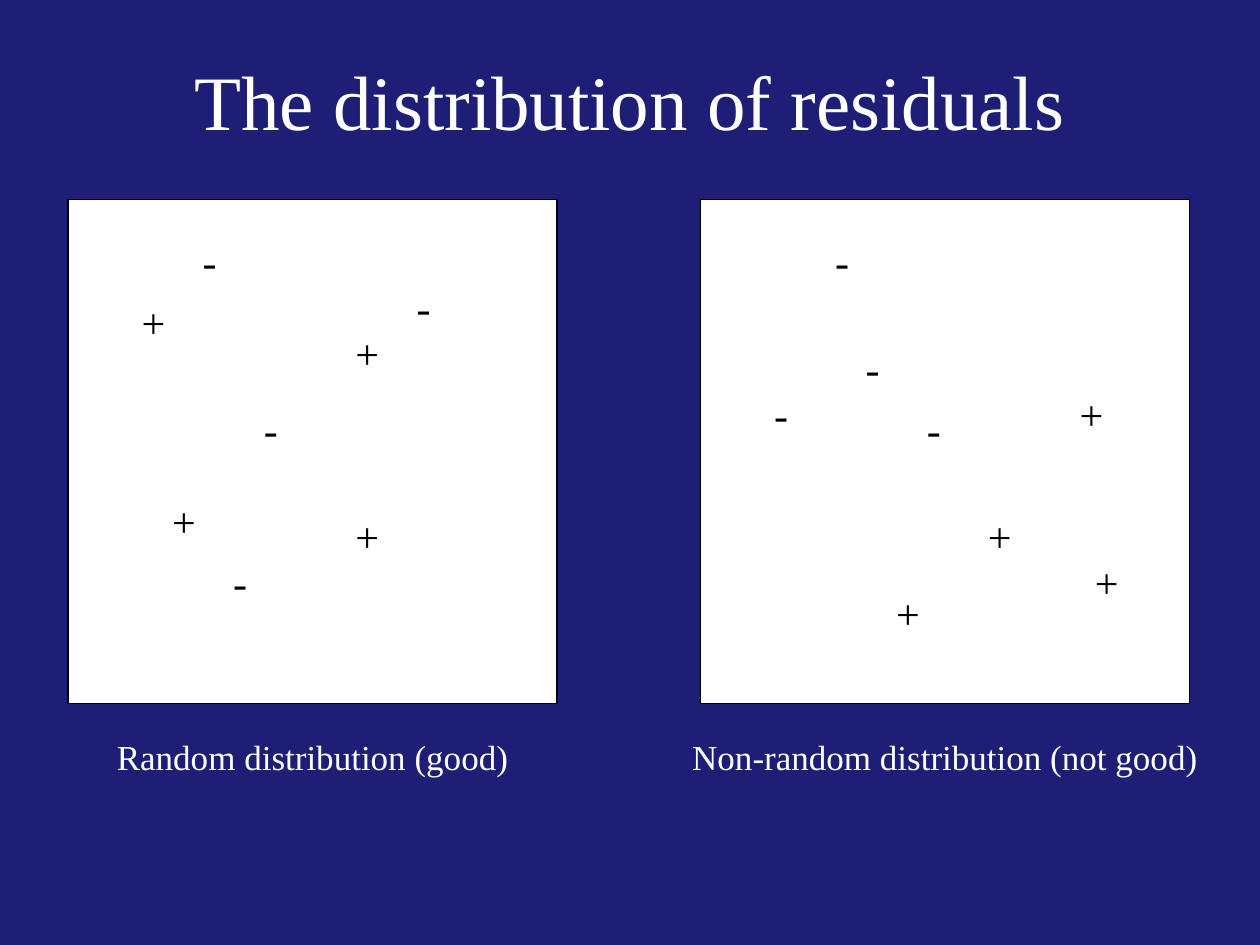
"""Build a slide that contrasts random and non-random residuals."""
from dataclasses import dataclass

from pptx import Presentation
from pptx.dml.color import RGBColor
from pptx.enum import shapes as sh, text as tx
from pptx.util import Pt


@dataclass(frozen=True)
class Theme:
    """Hold the colours, font and type sizes."""
    back: RGBColor = RGBColor(0x1E, 0x1E, 0x76)
    light: RGBColor = RGBColor(255, 255, 255)
    dark: RGBColor = RGBColor(0, 0, 0)
    font: str = "Times New Roman"
    title: int = 44
    mark: int = 24
    label: int = 20


THEME = Theme()
UNIT = 8.73
TOP, WIDE, HIGH = 113.8, 32 * UNIT, 33 * UNIT
PANELS = [
    (38.9, "Random distribution (good)", 257.8, {
        "+": [(4, 6), (6, 19), (18, 8), (18, 20)],
        "-": [(8, 2), (12, 13), (10, 23), (22, 5)],
    }),
    (400.3, "Non-random distribution (not good)", 311.8, {
        "+": [(12, 25), (25, 23), (24, 12), (18, 20)],
        "-": [(8, 2), (4, 12), (10, 9), (14, 13)],
    }),
]


def style(frame, words, size, color, align):
    """Fill a text frame and format its single run."""
    frame.text = words
    frame.word_wrap = True
    para = frame.paragraphs[0]
    para.alignment = align
    font = para.runs[0].font
    font.name, font.size = THEME.font, Pt(size)
    font.color.rgb = color


def add_title(slide, words):
    """Place and format the title."""
    title = slide.shapes.title
    title.left, title.top = Pt(54), Pt(12.2)
    title.width, title.height = Pt(612), Pt(90)
    style(title.text_frame, words, THEME.title, THEME.light,
          tx.PP_ALIGN.CENTER)
    title.text_frame.vertical_anchor = tx.MSO_ANCHOR.MIDDLE


def add_plot(slide, left, marks):
    """Draw a white panel with its signs on the unit grid."""
    group = slide.shapes.add_group_shape().shapes
    panel = group.add_shape(sh.MSO_SHAPE.RECTANGLE, Pt(left), Pt(TOP),
                            Pt(WIDE), Pt(HIGH))
    panel.shadow.inherit = False
    panel.fill.solid()
    panel.fill.fore_color.rgb = THEME.light
    panel.line.color.rgb = THEME.dark
    panel.line.width = Pt(0.75)
    for sign, spots in marks.items():
        width = 44 if sign == "+" else 36.7
        for col, row in spots:
            box = group.add_textbox(Pt(left + col * UNIT),
                                    Pt(TOP + row * UNIT), Pt(width), Pt(52.5))
            style(box.text_frame, sign, THEME.mark, THEME.dark,
                  tx.PP_ALIGN.LEFT)


def add_label(slide, left, words, width):
    """Centre a caption under its panel."""
    box = slide.shapes.add_textbox(Pt(left + (WIDE - width) / 2), Pt(416.9),
                                   Pt(width), Pt(31))
    style(box.text_frame, words, THEME.label, THEME.light,
          tx.PP_ALIGN.CENTER)


def main():
    """Build and save the slide."""
    deck = Presentation()
    deck.slide_width, deck.slide_height = Pt(720), Pt(540)
    slide = deck.slides.add_slide(deck.slide_layouts[5])
    fill = slide.background.fill
    fill.solid()
    fill.fore_color.rgb = THEME.back
    add_title(slide, "The distribution of residuals")
    for left, words, width, marks in PANELS:
        add_plot(slide, left, marks)
        add_label(slide, left, words, width)
    deck.save("out.pptx")


if __name__ == "__main__":
    main()
